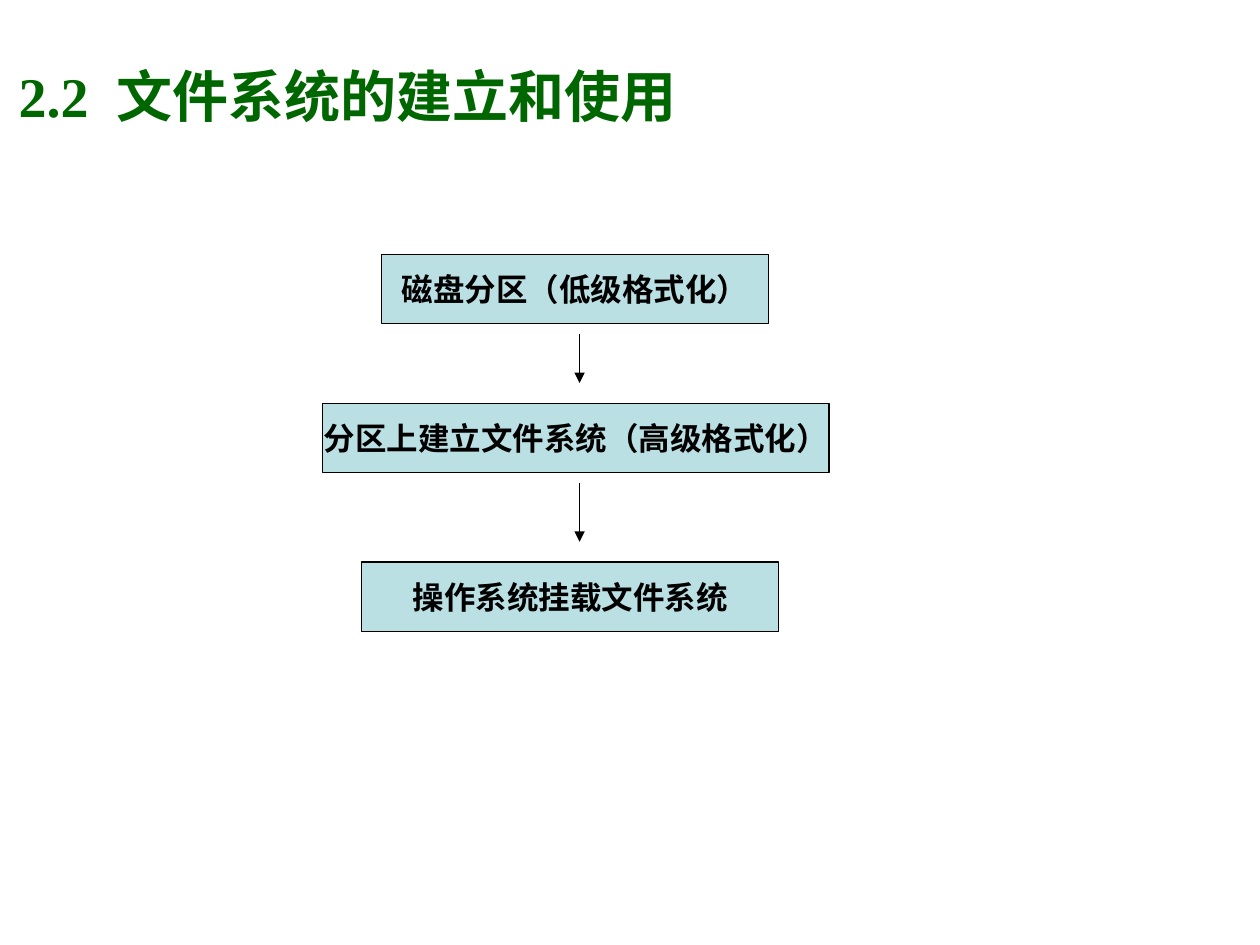
import pptx
import pptx.util
import pptx.dml.color
import pptx.enum.shapes
import pptx.enum.text
import pptx.oxml.ns
import lxml.etree

Inches = pptx.util.Inches
Pt = pptx.util.Pt
Align = pptx.enum.text.PP_ALIGN


def color(code):
    return pptx.dml.color.RGBColor.from_string(code)


def write(shape, text, size=18, font="Arial", ink="000000",
          align=Align.CENTER, wrap=False, space=None):
    frame = shape.text_frame
    frame.word_wrap = wrap
    frame.vertical_anchor = pptx.enum.text.MSO_ANCHOR.MIDDLE
    para = frame.paragraphs[0]
    para.alignment = align
    para.line_spacing = space
    run = para.add_run()
    run.text = text
    run.font.size = Pt(size)
    run.font.name = font
    run.font.bold = True
    run.font.color.rgb = color(ink)


deck = pptx.Presentation()
deck.slide_width = Inches(10)
deck.slide_height = Inches(7.5)
slide = deck.slides.add_slide(deck.slide_layouts[6])

# Title
title = slide.shapes.add_textbox(Inches(0.05), Inches(0.1), Inches(5.66), Inches(1.21))
write(title, "2.2  文件系统的建立和使用", size=32, font="Times New Roman",
      ink="006600", align=Align.LEFT, wrap=True, space=1.2)

# Steps: left, top, width, text
steps = [
    (3.03, 2.02, 3.07, "磁盘分区（低级格式化）"),
    (2.56, 3.2, 4.02, "分区上建立文件系统（高级格式化）"),
    (2.87, 4.46, 3.31, "操作系统挂载文件系统"),
]
for left, top, width, text in steps:
    box = slide.shapes.add_shape(pptx.enum.shapes.MSO_SHAPE.RECTANGLE,
                                 Inches(left), Inches(top), Inches(width), Inches(0.55))
    box.shadow.inherit = False
    box.fill.solid()
    box.fill.fore_color.rgb = color("BBE0E3")
    box.line.color.rgb = color("000000")
    box.line.width = Pt(0.75)
    write(box, text)

# Arrows in the gaps between steps
qn = pptx.oxml.ns.qn
for start, end in [(2.65, 3.04), (3.83, 4.3)]:
    arrow = slide.shapes.add_connector(pptx.enum.shapes.MSO_CONNECTOR.STRAIGHT,
                                       Inches(4.6), Inches(start), Inches(4.6), Inches(end))
    arrow.line.color.rgb = color("000000")
    arrow.line.width = Pt(0.75)
    lxml.etree.SubElement(arrow.line._get_or_add_ln(), qn("a:tailEnd"), type="triangle")
    lxml.etree.SubElement(arrow._element.spPr, qn("a:effectLst"))

deck.save("out.pptx")
